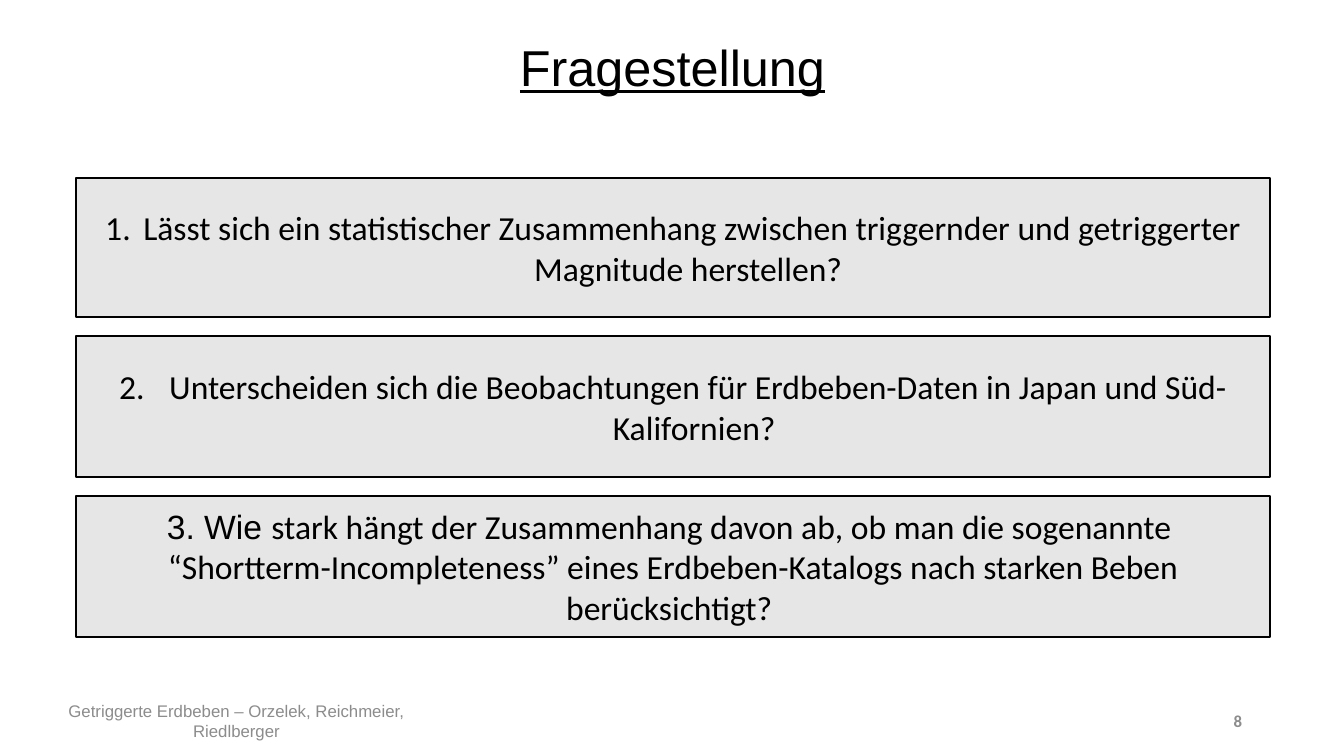
"""Build the slide with the three research questions."""
from dataclasses import dataclass
from typing import Any, NamedTuple

from lxml.etree import SubElement as Sub
from pptx import Presentation
from pptx.dml.color import RGBColor as Color
from pptx.enum.shapes import MSO_SHAPE as Shape
from pptx.enum.text import MSO_ANCHOR as Anchor, PP_ALIGN as Align
from pptx.oxml.ns import qn
from pptx.util import Pt

SCALE = 914400 / 100.8


@dataclass(frozen=True)
class Theme:
    """Hold the colours, fonts and type sizes."""
    ink: Color = Color(0x00, 0x00, 0x00)
    mute: Color = Color(0x8C, 0x8C, 0x8C)
    fill: Color = Color(0xE7, 0xE6, 0xE6)
    sans: str = "Arial"
    text: str = "Calibri"
    head: int = 36
    body: int = 24
    foot: int = 12


class Area(NamedTuple):
    """Give a place in pixels."""
    left: int
    top: int
    width: int
    height: int


class Run(NamedTuple):
    """Give words and their font."""
    words: str
    face: str


class Quest(NamedTuple):
    """Give one boxed question, with a list number if start is set."""
    area: Area
    lines: list[list[Run]]
    start: int = 0
    indent: int = 0


class Note(NamedTuple):
    """Give one line at the foot of the slide."""
    area: Area
    run: Run
    align: Align
    bold: bool


THEME = Theme()
TITLE = Area(93, -3, 1159, 146)
QUESTS = [
    Quest(Area(76, 178, 1194, 139), [[Run(
        "Lässt sich ein statistischer Zusammenhang zwischen triggernder "
        "und getriggerter Magnitude herstellen? ", THEME.text)]], 1, 38),
    Quest(Area(76, 336, 1194, 141), [[Run(
        "Unterscheiden sich die Beobachtungen für Erdbeben-Daten in Japan "
        "und Süd-Kalifornien? ", THEME.text)]], 2, 50),
    Quest(Area(76, 496, 1194, 141), [
        [Run("3. Wie ", THEME.sans),
         Run("stark hängt der Zusammenhang davon ab, ob man die sogenannte ",
             THEME.text)],
        [Run("“Shortterm-Incompleteness” eines Erdbeben-Katalogs nach "
             "starken Beben berücksichtigt? ", THEME.text)]]),
]
NOTES = [
    Note(Area(13, 701, 447, 40), Run(
        "Getriggerte Erdbeben – Orzelek, Reichmeier, Riedlberger",
        THEME.sans), Align.CENTER, False),
    Note(Area(950, 701, 302, 40), Run("8", THEME.text), Align.RIGHT, True),
]


def emu(pixels: int) -> int:
    """Turn pixels into EMU."""
    return round(pixels * SCALE)


def apply(item: Any, form: dict[str, Any]) -> None:
    """Set each format value on the item."""
    for name, value in form.items():
        setattr(item, name, value)


def place(shape: Any, area: Area) -> None:
    """Move and size a shape."""
    apply(shape, {name: emu(size) for name, size in area._asdict().items()})


def write(frame: Any, lines: list[list[Run]], size: int, color: Color,
          align: Align = Align.CENTER, **form: Any) -> None:
    """Fill a text frame with styled lines."""
    apply(frame, {"word_wrap": True, "vertical_anchor": Anchor.MIDDLE})
    for index, line in enumerate(lines):
        para = frame.add_paragraph() if index else frame.paragraphs[0]
        para.alignment = align
        for part in line:
            run = para.add_run()
            run.text = part.words
            apply(run.font, {"name": part.face, "size": Pt(size), **form})
            run.font.color.rgb = color


def number(para: Any, start: int, indent: int) -> None:
    """Turn a paragraph into a numbered list item."""
    props = para._p.get_or_add_pPr()
    props.set("marL", str(emu(indent)))
    props.set("indent", str(-emu(indent)))
    Sub(props, qn("a:buFont"), typeface="+mj-lt")
    Sub(props, qn("a:buAutoNum"), type="arabicPeriod", startAt=str(start))


def draw_quest(slide: Any, quest: Quest) -> None:
    """Draw one question in its box."""
    box = slide.shapes.add_shape(Shape.RECTANGLE, *map(emu, quest.area))
    box.shadow.inherit = False
    box.fill.solid()
    box.fill.fore_color.rgb = THEME.fill
    box.line.color.rgb = THEME.ink
    box.line.width = Pt(1)
    write(box.text_frame, quest.lines, THEME.body, THEME.ink)
    if quest.start:
        number(box.text_frame.paragraphs[0], quest.start, quest.indent)


def draw_note(slide: Any, note: Note) -> None:
    """Draw one foot line."""
    box = slide.shapes.add_textbox(*map(emu, note.area))
    write(box.text_frame, [[note.run]], THEME.foot, THEME.mute, note.align,
          bold=note.bold)


def main() -> None:
    """Build and save the deck."""
    deck = Presentation()
    apply(deck, {"slide_width": emu(1344), "slide_height": emu(756)})
    slide = deck.slides.add_slide(deck.slide_layouts[5])
    title = slide.shapes.title
    place(title, TITLE)
    write(title.text_frame, [[Run("Fragestellung", THEME.sans)]],
          THEME.head, THEME.ink, underline=True)
    title.text_frame.paragraphs[0].line_spacing = 0.9
    for quest in QUESTS:
        draw_quest(slide, quest)
    for note in NOTES:
        draw_note(slide, note)
    deck.save("out.pptx")


main()
